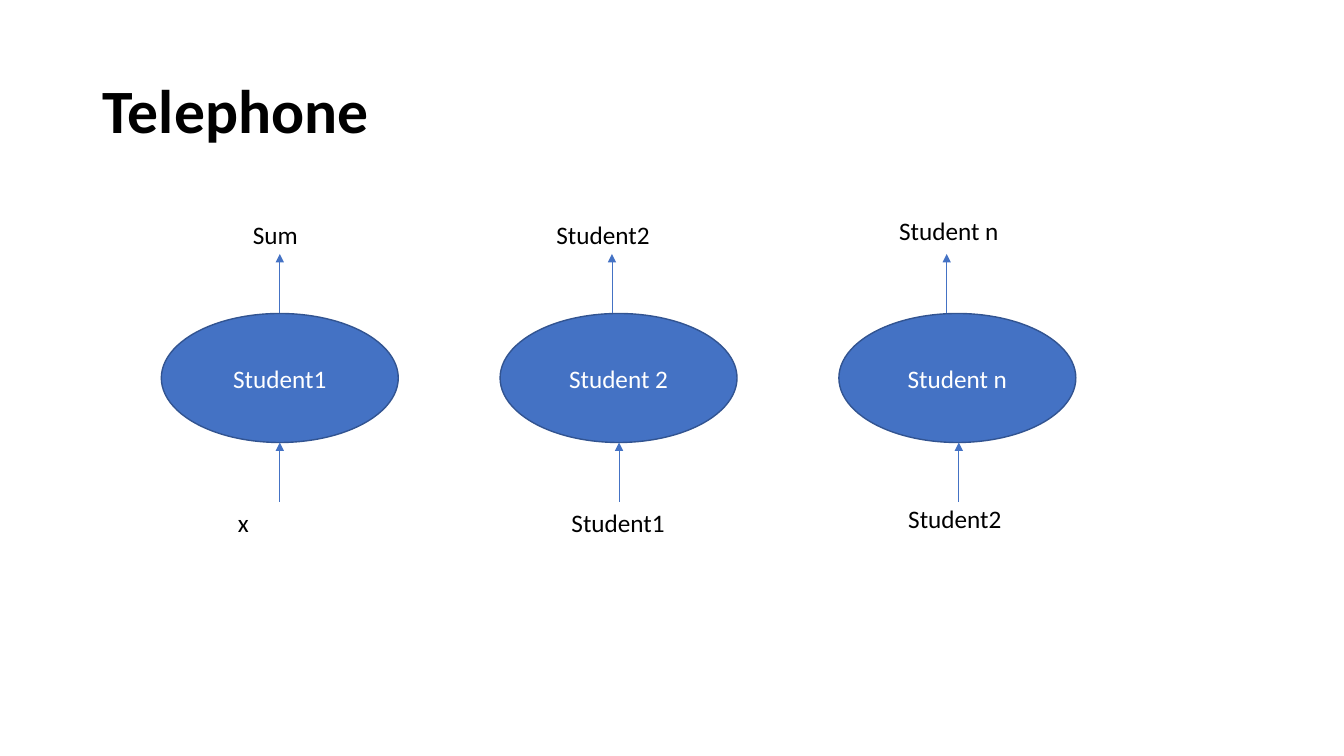
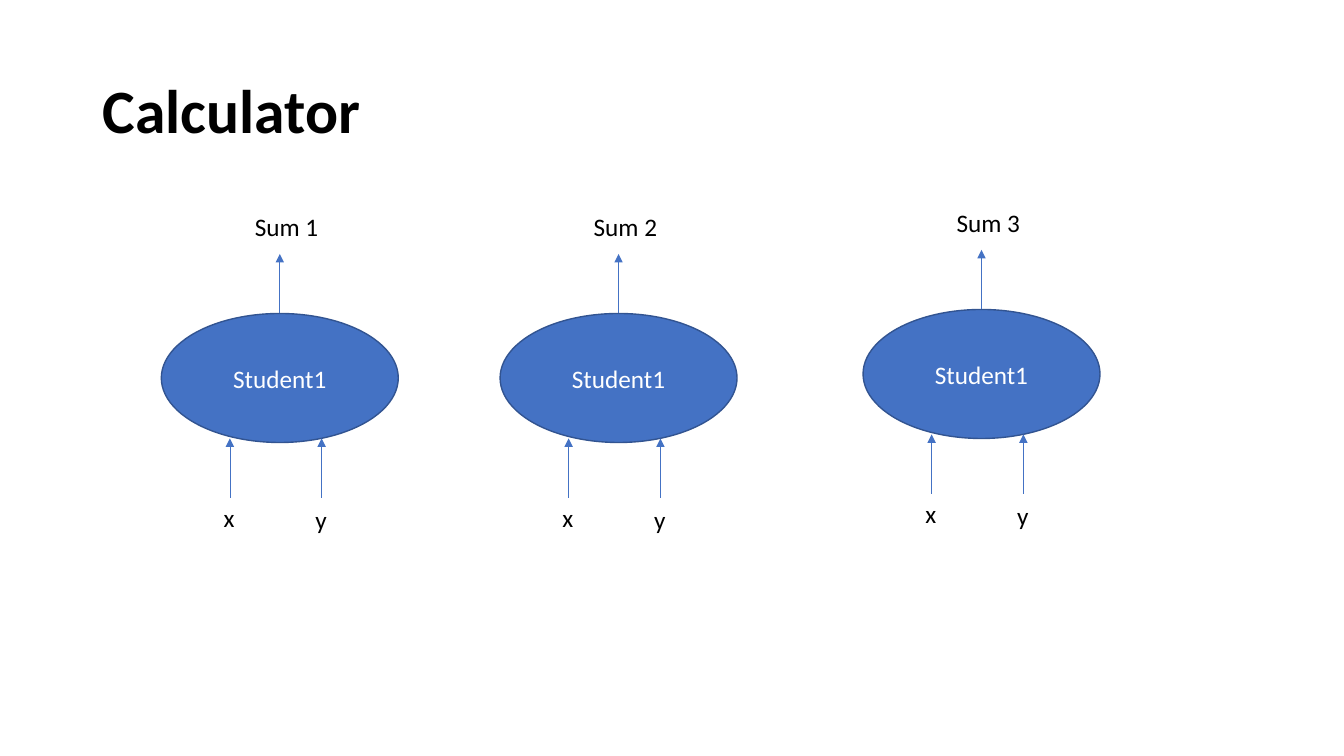
"""Build two slides of student nodes whose inputs and outputs are joined by arrows."""
from dataclasses import dataclass

from lxml.etree import SubElement
from pptx import Presentation
from pptx.dml.color import RGBColor
from pptx.enum.shapes import MSO_CONNECTOR, MSO_SHAPE
from pptx.enum.text import MSO_ANCHOR, MSO_AUTO_SIZE, PP_ALIGN
from pptx.oxml.ns import qn
from pptx.util import Inches, Pt


@dataclass(frozen=True)
class Theme:
    font: str = "Calibri"
    ink: str = "000000"
    light: str = "FFFFFF"
    node: str = "4472C4"
    node_edge: str = "325491"
    title_size: int = 44
    text_size: int = 18
    edge_width: float = 1
    arrow_width: float = 0.5


THEME = Theme()
PAGE_SIZE = (13.33, 7.5)
TITLE_AREA = (0.92, 0.4, 11.5, 1.45)
NODE_WIDTH, NODE_HEIGHT = 2.35, 1.28
NODE_MIDDLE = NODE_WIDTH / 2
NODE_LEFT, NODE_TOP, NODE_PITCH = 1.6, 3.11, 3.36
ARROW_LENGTH = 0.59
LABEL_HEIGHT = 0.4
LABEL_WIDTHS = {"x": 0.31, "y": 0.32, "Sum": 0.65, "Student n": 1.2,
                "Student1": 1.14, "Student2": 1.14,
                "Sum 1": 0.84, "Sum 2": 0.84, "Sum 3": 0.84}


def column(index, shift=0, rise=0):
    return NODE_LEFT + index * NODE_PITCH + shift, NODE_TOP - rise


def calculator_node(index, **offsets):
    return {
        "name": "Student1",
        "at": column(index, **offsets),
        "labels": [(f"Sum {index + 1}", 0.83, -1.06), ("x", 0.52, 1.82), ("y", 1.43, 1.84)],
        "outputs": [NODE_MIDDLE],
        "inputs": [(0.68, 1.24), (1.59, 1.24)],
    }


SLIDES = [
    ("Telephone", [
        {"name": "Student1", "at": column(0),
         "labels": [("Sum", 0.81, -0.98), ("x", 0.66, 1.87)],
         "outputs": [NODE_MIDDLE], "inputs": [(NODE_MIDDLE, NODE_HEIGHT)]},
        {"name": "Student 2", "at": column(1),
         "labels": [("Student2", 0.46, -0.98), ("Student1", 0.61, 1.87)],
         "outputs": [1.11], "inputs": [(1.18, NODE_HEIGHT)]},
        {"name": "Student n", "at": column(2),
         "labels": [("Student n", 0.5, -1.02), ("Student2", 0.59, 1.83)],
         "outputs": [1.07], "inputs": [(1.19, NODE_HEIGHT)]},
    ]),
    ("Calculator", [
        calculator_node(0),
        calculator_node(1),
        calculator_node(2, shift=0.24, rise=0.04),
    ]),
]


def write(shape, text, size, color, align=PP_ALIGN.LEFT, bold=False, spacing=None):
    para = shape.text_frame.paragraphs[0]
    para.alignment = align
    para.line_spacing = spacing
    span = para.add_run()
    span.text = text
    for name, value in {"name": THEME.font, "size": Pt(size), "bold": bold}.items():
        setattr(span.font, name, value)
    span.font.color.rgb = RGBColor.from_string(color)


def add_title(page, text):
    title = page.shapes.title
    for name, value in zip(("left", "top", "width", "height"), TITLE_AREA):
        setattr(title, name, Inches(value))
    title.text_frame.vertical_anchor = MSO_ANCHOR.MIDDLE
    write(title, text, THEME.title_size, THEME.ink, bold=True, spacing=0.9)


def add_ellipse(page, name, left, top):
    ellipse = page.shapes.add_shape(
        MSO_SHAPE.OVAL, Inches(left), Inches(top), Inches(NODE_WIDTH), Inches(NODE_HEIGHT))
    ellipse.shadow.inherit = False
    ellipse.fill.solid()
    ellipse.fill.fore_color.rgb = RGBColor.from_string(THEME.node)
    ellipse.line.color.rgb = RGBColor.from_string(THEME.node_edge)
    ellipse.line.width = Pt(THEME.edge_width)
    ellipse.text_frame.vertical_anchor = MSO_ANCHOR.MIDDLE
    write(ellipse, name, THEME.text_size, THEME.light, PP_ALIGN.CENTER)
    return ellipse


def add_up_arrow(page, across, tip):
    arrow = page.shapes.add_connector(
        MSO_CONNECTOR.STRAIGHT, Inches(across), Inches(tip + ARROW_LENGTH),
        Inches(across), Inches(tip))
    arrow.line.color.rgb = RGBColor.from_string(THEME.node)
    arrow.line.width = Pt(THEME.arrow_width)
    SubElement(arrow.line._get_or_add_ln(), qn("a:tailEnd"), type="triangle")
    SubElement(arrow._element.spPr, qn("a:effectLst"))
    return arrow


def add_label(page, text, left, top):
    box = page.shapes.add_textbox(
        Inches(left), Inches(top), Inches(LABEL_WIDTHS[text]), Inches(LABEL_HEIGHT))
    box.text_frame.word_wrap = False
    box.text_frame.auto_size = MSO_AUTO_SIZE.SHAPE_TO_FIT_TEXT
    write(box, text, THEME.text_size, THEME.ink)


def add_node(page, node):
    left, top = node["at"]
    ellipse = add_ellipse(page, node["name"], left, top)
    for across in node["outputs"]:
        arrow = add_up_arrow(page, left + across, top - ARROW_LENGTH)
        if across == NODE_MIDDLE:
            arrow.begin_connect(ellipse, 0)
    for across, tip in node["inputs"]:
        add_up_arrow(page, left + across, top + tip)
    for text, across, down in node["labels"]:
        add_label(page, text, left + across, top + down)


def main():
    deck = Presentation()
    deck.slide_width, deck.slide_height = map(Inches, PAGE_SIZE)
    title_only = deck.slide_layouts[5]
    for title, nodes in SLIDES:
        page = deck.slides.add_slide(title_only)
        add_title(page, title)
        for node in nodes:
            add_node(page, node)
    deck.save("out.pptx")


if __name__ == "__main__":
    main()
